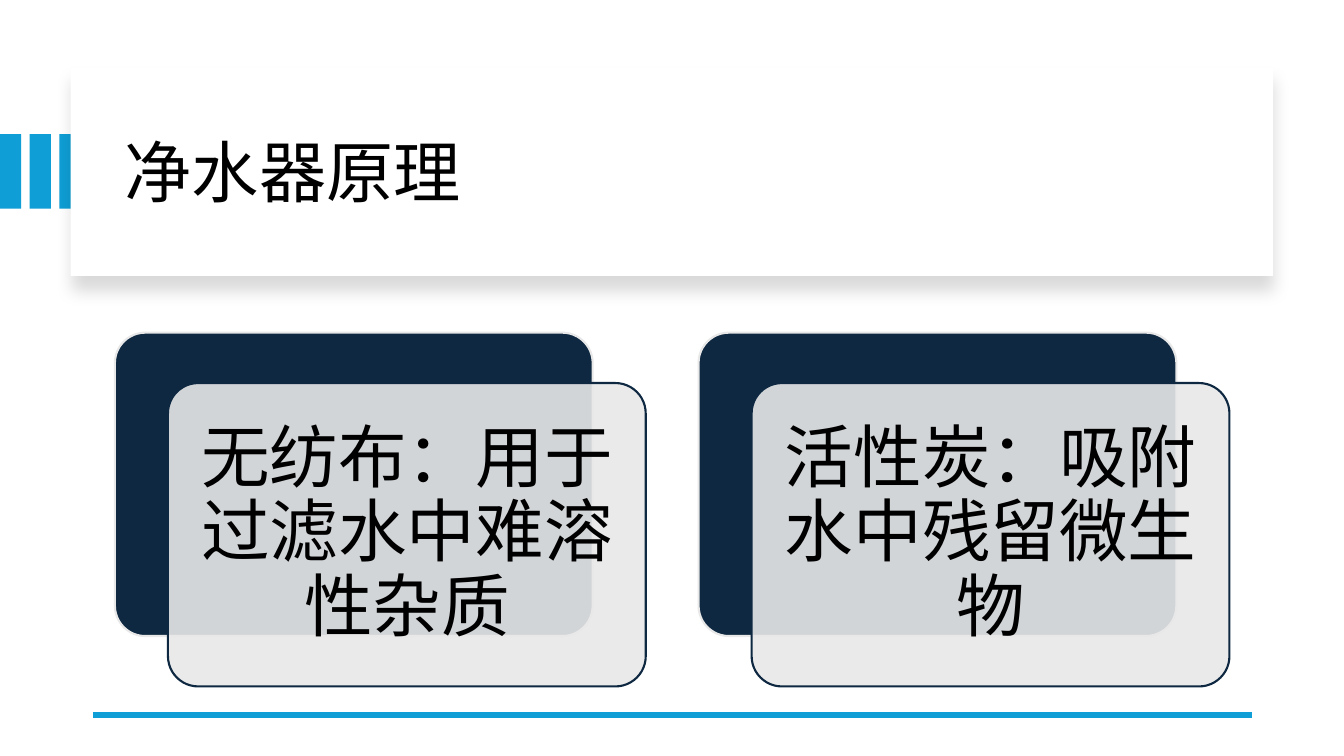
from lxml import etree
from pptx import Presentation
from pptx.dml.color import RGBColor
from pptx.enum.shapes import MSO_CONNECTOR, MSO_SHAPE
from pptx.enum.text import MSO_ANCHOR, PP_ALIGN
from pptx.oxml.ns import qn
from pptx.util import Pt

RECTANGLE = MSO_SHAPE.RECTANGLE
ROUNDED = MSO_SHAPE.ROUNDED_RECTANGLE
STRAIGHT = MSO_CONNECTOR.STRAIGHT
MIDDLE = MSO_ANCHOR.MIDDLE
LEFT, CENTER = PP_ALIGN.LEFT, PP_ALIGN.CENTER

BLUE = RGBColor(0x0F, 0x9E, 0xD5)
NAVY = RGBColor(0x0E, 0x28, 0x41)
GRAY = RGBColor(0xE8, 0xE8, 0xE8)
WHITE = RGBColor(0xFF, 0xFF, 0xFF)
BLACK = RGBColor(0x00, 0x00, 0x00)

FONT = "Roboto"
CARD_WIDTH, CARD_HEIGHT = 341.3, 216.7
CARD_LEFT, CARD_TOP, CARD_STEP = 82.1, 237.6, 416.9
FRONT_SHIFT_X, FRONT_SHIFT_Y = 37.9, 36
TEXT_MARGIN = 6.4
CARD_TEXTS = ["无纺布：用于过滤水中难溶性杂质", "活性炭：吸附水中残留微生物"]


def add_box(slide, kind, left, top, width, height, fill, line=None):
    box = slide.shapes.add_shape(kind, Pt(left), Pt(top), Pt(width), Pt(height))
    box.shadow.inherit = False
    box.fill.solid()
    box.fill.fore_color.rgb = fill
    if line is None:
        box.line.fill.background()
    else:
        box.line.color.rgb = line
        box.line.width = Pt(1.5)
    return box


def add_rounded(slide, left, top, fill, line):
    box = add_box(slide, ROUNDED, left, top, CARD_WIDTH, CARD_HEIGHT, fill, line)
    box.adjustments[0] = 0.1
    return box


def set_alpha(color, percent):
    etree.SubElement(color, qn("a:alpha"), val=str(percent * 1000))


def add_soft_shadow(box):
    effects = box._element.spPr.find(qn("a:effectLst"))
    shadow = etree.SubElement(
        effects, qn("a:outerShdw"), blurRad=str(Pt(11)), dist=str(Pt(10)),
        dir="5400000", algn="t", rotWithShape="0")
    color = etree.SubElement(shadow, qn("a:srgbClr"), val=str(BLACK))
    set_alpha(color, 15)


def add_text(slide, text, left, top, width, height, size, align, inset=None):
    box = slide.shapes.add_textbox(Pt(left), Pt(top), Pt(width), Pt(height))
    frame = box.text_frame
    frame.word_wrap = True
    frame.vertical_anchor = MIDDLE
    if inset is not None:
        frame.margin_left = frame.margin_right = Pt(inset)
        frame.margin_top = frame.margin_bottom = Pt(inset)
    frame.text = text
    para = frame.paragraphs[0]
    para.alignment = align
    para.line_spacing = 0.9
    font = para.runs[0].font
    font.name = FONT
    font.size = Pt(size)
    font.color.rgb = BLACK


def add_title_banner(slide):
    for index in range(3):
        add_box(slide, RECTANGLE, index * 21.2, 95.8, 15.1, 53.3, BLUE)
    banner = add_box(slide, RECTANGLE, 50.4, 48.2, 859, 149, WHITE)
    add_soft_shadow(banner)
    add_text(slide, "净水器原理", 82.1, 64.1, 801.4, 122.4, 48, LEFT)


def add_bottom_rule(slide):
    rule = slide.shapes.add_connector(STRAIGHT, Pt(894.2), Pt(510.5), Pt(66.2), Pt(510.5))
    rule.line.color.rgb = BLUE
    rule.line.width = Pt(4.5)
    etree.SubElement(rule._element.spPr, qn("a:effectLst"))


def add_card(slide, left, text):
    add_rounded(slide, left, CARD_TOP, NAVY, GRAY)
    front_left, front_top = left + FRONT_SHIFT_X, CARD_TOP + FRONT_SHIFT_Y
    front = add_rounded(slide, front_left, front_top, GRAY, NAVY)
    set_alpha(front._element.spPr.find(qn("a:solidFill"))[0], 90)
    add_text(slide, text, front_left + TEXT_MARGIN, front_top + TEXT_MARGIN,
             CARD_WIDTH - 2 * TEXT_MARGIN, CARD_HEIGHT - 2 * TEXT_MARGIN,
             49, CENTER, inset=14.4)


def main():
    deck = Presentation()
    deck.slide_width, deck.slide_height = Pt(960), Pt(540)
    slide = deck.slides.add_slide(deck.slide_layouts[6])
    add_title_banner(slide)
    add_bottom_rule(slide)
    for index, text in enumerate(CARD_TEXTS):
        add_card(slide, CARD_LEFT + index * CARD_STEP, text)
    deck.save("out.pptx")


if __name__ == "__main__":
    main()
